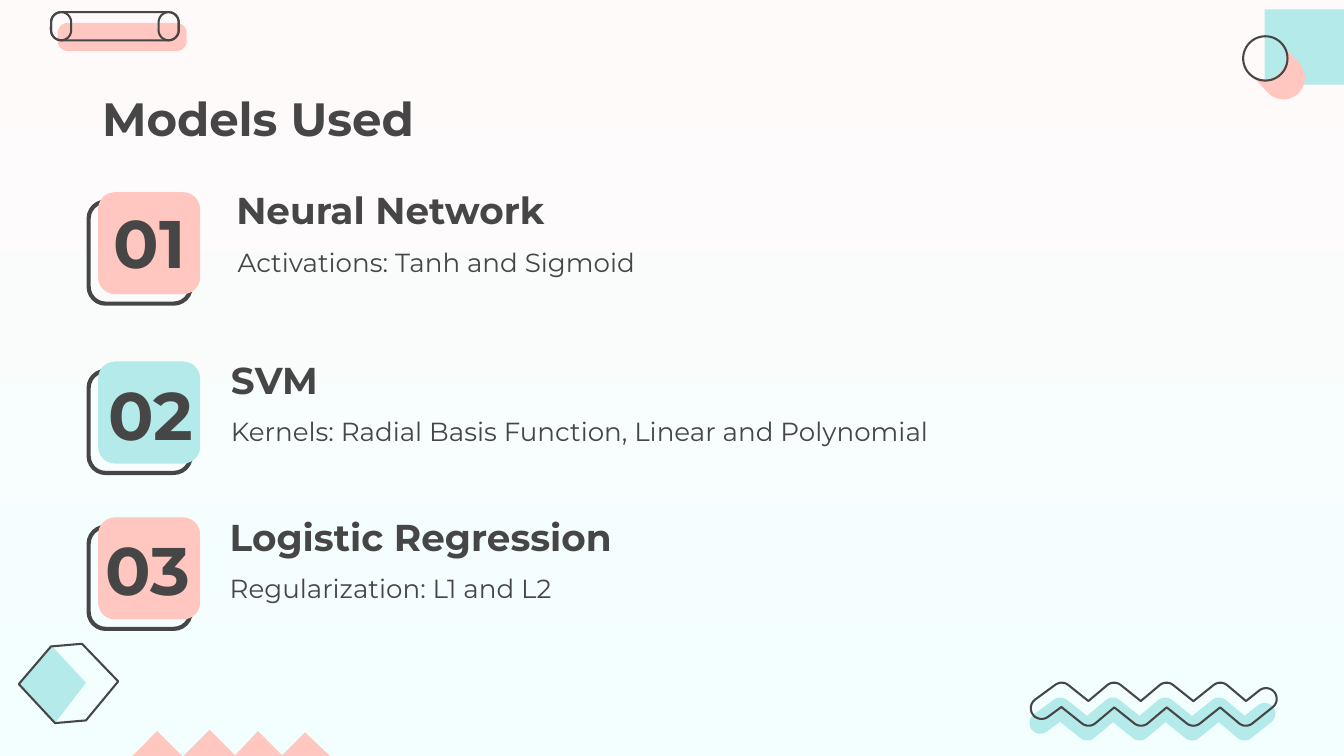
from math import atan2, cos, degrees, radians, sin

from pptx import Presentation
from pptx.dml.color import RGBColor
from pptx.enum.shapes import MSO_SHAPE
from pptx.enum.text import MSO_ANCHOR, MSO_AUTO_SIZE, PP_ALIGN
from pptx.util import Pt

PX = 9144  # EMU per px, 100 px to the inch
DARK = RGBColor(0x46, 0x46, 0x46)
PINK = RGBColor(0xFF, 0xC7, 0xC0)
MINT = RGBColor(0xB4, 0xEA, 0xEA)
SNOW = RGBColor(0xFF, 0xFA, 0xFA)
ICE = RGBColor(0xF3, 0xFF, 0xFF)
FONT = "Montserrat"
HAIRLINE = 1.1


def arc(cx, cy, r, start, end, steps=12):
    """Points on a circle, angles in degrees clockwise from the right."""
    angles = [radians(start + (end - start) * i / steps) for i in range(steps + 1)]
    return [(cx + r * cos(a), cy + r * sin(a)) for a in angles]


def draw(outline, fill=None, line=None):
    """Add a shape: a list of points, or (preset, x, y, w, h, corner)."""
    if isinstance(outline, list):
        points = [(x * PX, y * PX) for x, y in outline]
        builder = s.shapes.build_freeform(*points[0])
        builder.add_line_segments(points[1:], close=True)
        sp = builder.convert_to_shape()
    else:
        preset, x, y, w, h, corner = outline
        sp = s.shapes.add_shape(preset, x * PX, y * PX, w * PX, h * PX)
        if corner is not None:
            sp.adjustments[0] = corner
    sp.shadow.inherit = False
    if fill is None:
        sp.fill.background()
    else:
        sp.fill.solid()
        sp.fill.fore_color.rgb = fill
    if line is None:
        sp.line.fill.background()
    else:
        sp.line.color.rgb = DARK
        sp.line.width = Pt(line)


prs = Presentation()
prs.slide_width = 1000 * PX
prs.slide_height = prs.slide_width * 9 // 16
s = prs.slides.add_slide(prs.slide_layouts[5])

bg = s.background.fill
bg.gradient()
bg.gradient_angle = 270
for stop, color in zip(bg.gradient_stops, (SNOW, ICE)):
    stop.color.rgb = color

# Top right: square, circle and its swept shade
draw((MSO_SHAPE.RECTANGLE, 941, 7, 86, 56, None), MINT)
draw(arc(941, 43, 16, -45, 135) + arc(955, 58, 16, 135, -45), PINK)
draw((MSO_SHAPE.OVAL, 925, 27, 33, 33, None), line=HAIRLINE)

# Bottom right: wavy band, outlined by offsetting its centre line
RADIUS = 8
centre = [(775, 527)]
centre += [(790 + round(19.6 * i), 532 if i % 2 else 516) for i in range(8)]
centre += [(942, 520)]
loop = centre + centre[-2:0:-1]
wave = []
for i, (x, y) in enumerate(loop):
    x0, y0 = loop[i - 1]
    x1, y1 = loop[(i + 1) % len(loop)]
    heading = degrees(atan2(y - y0, x - x0))
    turn = (degrees(atan2(y1 - y, x1 - x)) - heading) % 360
    if turn < 190:
        wave += arc(x, y, RADIUS, heading - 90, heading - 90 + turn)
    else:
        half = (turn - 360) / 2
        middle = radians(heading - 90 + half)
        reach = RADIUS / cos(radians(half))
        wave.append((x + reach * cos(middle), y + reach * sin(middle)))
draw([(x - 1, y + 11) for x, y in wave], MINT)
draw(wave, line=HAIRLINE)

# Bottom left: gem and row of peaks
draw([(38, 480), (14, 509), (41, 538), (64, 508)], MINT)
draw([(61, 479), (88, 507), (64, 536), (41, 538), (14, 509), (38, 481)], line=HAIRLINE)
draw([(98, 563), (117, 544), (136, 563), (156, 543), (175, 562), (192, 544),
      (210, 562), (227, 545), (246, 563)], PINK)

# Top left: tube
draw((MSO_SHAPE.ROUNDED_RECTANGLE, 43, 17, 96, 21, 0.36), PINK)
for x, w, corner in [(38, 95, 0.36), (38, 15, 0.5), (118, 15, 0.5)]:
    draw((MSO_SHAPE.ROUNDED_RECTANGLE, x, 9, w, 21, corner), line=HAIRLINE)

# Models: card top, card colour, then x, y of number, heading and detail
models = [
    (143, PINK, "01", (75, 174), "Neural Network", (166, 137),
     "Activations: Tanh and Sigmoid", (167, 173)),
    (269, MINT, "02", (71, 302), "SVM", (162, 263),
     "Kernels: Radial Basis Function, Linear and Polynomial", (162, 299)),
    (385, PINK, "03", (69, 417), "Logistic Regression", (161, 380),
     "Regularization: L1 and L2", (161, 416)),
]
title = s.shapes.title
title.left, title.top, title.width, title.height = 66 * PX, 57 * PX, 761 * PX, 61 * PX
texts = [(title, "Models Used", 25, True, MSO_ANCHOR.TOP)]
for top, color, number, number_at, heading, heading_at, detail, detail_at in models:
    draw((MSO_SHAPE.ROUNDED_RECTANGLE, 66, top + 7, 76, 76, 0.167), line=2.25)
    draw((MSO_SHAPE.ROUNDED_RECTANGLE, 73, top, 76, 76, 0.167), color)
    for text, (x, y), w, h, size, bold, anchor in [
        (heading, heading_at, 329, 46, 20, True, MSO_ANCHOR.BOTTOM),
        (detail, detail_at, 725, 63, 14, False, MSO_ANCHOR.TOP),
        (number, number_at, 103, 46, 36, True, MSO_ANCHOR.BOTTOM),
    ]:
        box = s.shapes.add_textbox(x * PX, y * PX, w * PX, h * PX)
        texts.append((box, text, size, bold, anchor))

for sp, text, size, bold, anchor in texts:
    tf = sp.text_frame
    tf.text = text
    tf.word_wrap = True
    tf.auto_size = MSO_AUTO_SIZE.NONE
    tf.vertical_anchor = anchor
    tf.margin_left = tf.margin_right = tf.margin_top = tf.margin_bottom = 10 * PX
    p = tf.paragraphs[0]
    p.alignment = PP_ALIGN.LEFT
    r = p.runs[0]
    r.font.name = FONT
    r.font.size = Pt(size)
    r.font.bold = bold
    r.font.color.rgb = DARK

prs.save("out.pptx")
